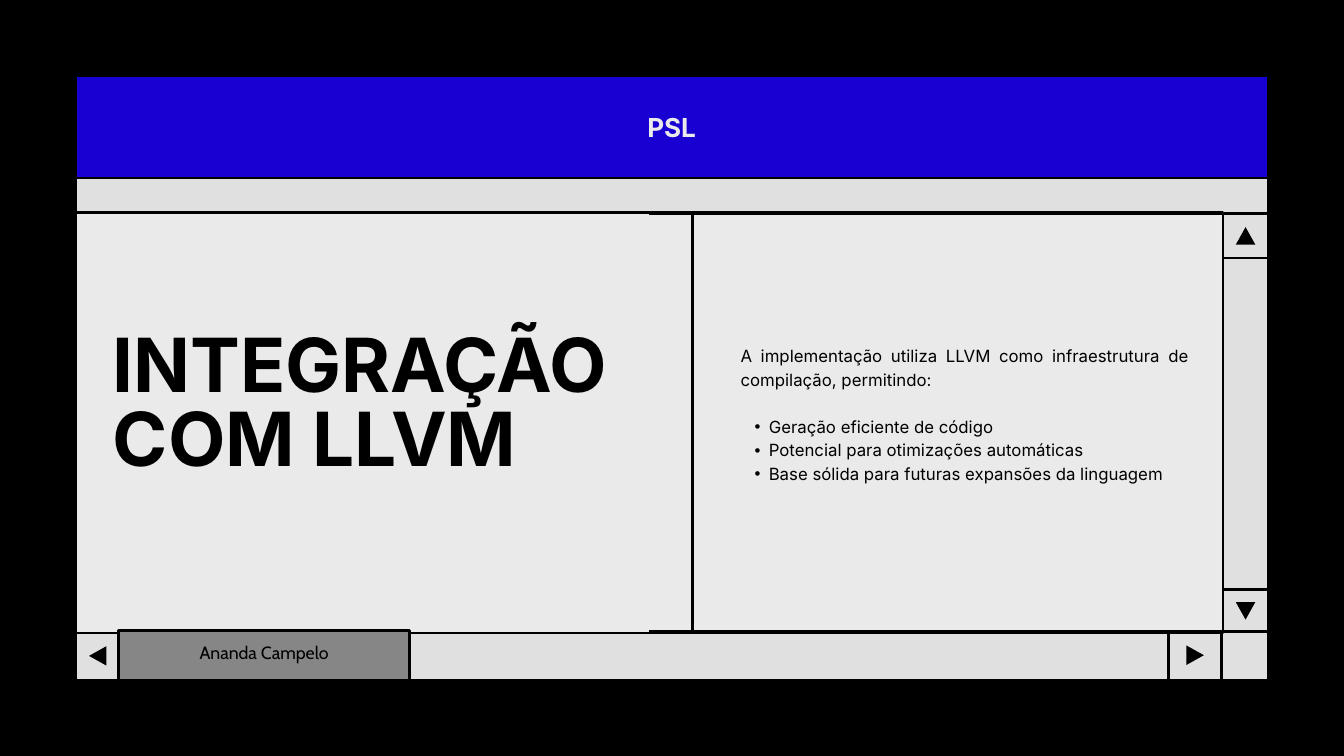
from lxml import etree
from pptx import Presentation
from pptx.dml.color import RGBColor
from pptx.enum.shapes import MSO_CONNECTOR, MSO_SHAPE
from pptx.enum.text import MSO_ANCHOR, PP_ALIGN
from pptx.oxml.ns import qn
from pptx.util import Inches, Pt

RECT, TRIANGLE = MSO_SHAPE.RECTANGLE, MSO_SHAPE.ISOSCELES_TRIANGLE
STRAIGHT = MSO_CONNECTOR.STRAIGHT
LEFT, CENTER, JUSTIFY = PP_ALIGN.LEFT, PP_ALIGN.CENTER, PP_ALIGN.JUSTIFY
TOP, MIDDLE = MSO_ANCHOR.TOP, MSO_ANCHOR.MIDDLE

COLORS = {"black": "000000", "frame": "E0E0E0", "page": "EAEAEA",
          "blue": "1700D1", "thumb": "868686"}

HEADER = "PSL"
TITLE = "INTEGRAÇÃO COM LLVM"
AUTHOR = "Ananda Campelo"
INTRO = "A implementação utiliza LLVM como infraestrutura de compilação, permitindo:"
BULLETS = [
    "Geração eficiente de código",
    "Potencial para otimizações automáticas",
    "Base sólida para futuras expansões da linguagem",
]

X0, Y0, X1, Y1 = 1.12, 1.12, 18.88, 10.12
PAGE_RIGHT, PAGE_TOP, PAGE_BOTTOM = 18.2, 3.16, 9.42
BAR_Y = 9.4

PANELS = [
    (X0, Y0, X1, Y1, "frame"),
    (X0, PAGE_TOP, PAGE_RIGHT, PAGE_BOTTOM, "page"),
    (X0, Y0, X1, 2.65, "blue"),
]
RULES = [(9.66, y, X1, y) for y in (3.18, BAR_Y)]
RULES += [(PAGE_RIGHT, y, X1, y) for y in (3.84, 8.77)]
RULES += [(x, BAR_Y, x, Y1) for x in (1.78, 17.39, 18.18)]
DIVIDER = (10.3, PAGE_TOP, 10.3, 9.38)
THUMB = (1.76, 9.38, 6.1, Y1, "thumb")
ARROWS = [(18.39, 3.38, 0), (18.39, 8.96, 180), (17.64, 9.62, 90), (1.31, 9.63, 270)]
ARROW_W, ARROW_H = 0.29, 0.26


def rgb(name):
    return RGBColor.from_string(COLORS[name])


def add_panel(s, x0, y0, x1, y1, color):
    sp = s.shapes.add_shape(RECT, Inches(x0), Inches(y0), Inches(x1 - x0), Inches(y1 - y0))
    sp.shadow.inherit = False
    sp.fill.solid()
    sp.fill.fore_color.rgb = rgb(color)
    sp.line.color.rgb = rgb("black")
    sp.line.width = Pt(3)


def add_rule(s, x0, y0, x1, y1):
    line = s.shapes.add_connector(STRAIGHT, Inches(x0), Inches(y0), Inches(x1), Inches(y1))
    line.line.color.rgb = rgb("black")
    line.line.width = Pt(3)
    etree.SubElement(line._element.spPr, qn("a:effectLst"))


def add_arrow(s, x, y, rotation):
    sp = s.shapes.add_shape(TRIANGLE, Inches(x), Inches(y), Inches(ARROW_W), Inches(ARROW_H))
    sp.shadow.inherit = False
    sp.rotation = rotation
    sp.fill.solid()
    sp.fill.fore_color.rgb = rgb("black")
    sp.line.fill.background()


def add_text(s, box, paragraphs, *, size, spacing, font="Inter", color="black",
             bold=False, align=LEFT, anchor=TOP, inset=0):
    tf = s.shapes.add_textbox(*map(Inches, box)).text_frame
    tf.word_wrap = True
    tf.vertical_anchor = anchor
    tf.margin_left = tf.margin_right = tf.margin_top = tf.margin_bottom = Inches(inset)
    for i, text in enumerate(paragraphs):
        p = tf.paragraphs[0] if i == 0 else tf.add_paragraph()
        p.alignment = align
        p.line_spacing = Pt(spacing)
        r = p.add_run()
        r.text = text
        r.font.name = font
        r.font.size = Pt(size)
        r.font.bold = bold
        r.font.color.rgb = rgb(color)
    return tf


def add_bullet(p):
    pPr = p._p.get_or_add_pPr()
    pPr.set("marL", str(Inches(0.42)))
    pPr.set("indent", str(Inches(-0.21)))
    etree.SubElement(pPr, qn("a:buFont"), typeface="Arial")
    etree.SubElement(pPr, qn("a:buChar"), char="•")


def main():
    prs = Presentation()
    prs.slide_width, prs.slide_height = Inches(20), Inches(11.25)
    s = prs.slides.add_slide(prs.slide_layouts[6])
    s.background.fill.solid()
    s.background.fill.fore_color.rgb = rgb("black")

    for panel in PANELS:
        add_panel(s, *panel)
    for rule in RULES:
        add_rule(s, *rule)
    for arrow in ARROWS:
        add_arrow(s, *arrow)
    add_panel(s, *THUMB)

    add_text(s, (1.76, 9.22, 4.34, 0.91), [AUTHOR], size=19, spacing=26.6,
             font="Cabin", align=CENTER, anchor=MIDDLE, inset=0.06)
    add_text(s, (7.28, 1.58, 5.43, 0.54), [HEADER], size=28, spacing=39.2,
             color="page", bold=True, align=CENTER)
    add_text(s, (1.68, 4.96, 9.43, 2.26), [TITLE], size=80, spacing=79.2, bold=True)
    tf = add_text(s, (11.02, 5.1, 6.67, 2.4), [INTRO, *BULLETS], size=18,
                  spacing=25.2, align=JUSTIFY)
    items = tf.paragraphs[1:]
    items[0].space_before = Pt(25.2)
    for p in items:
        add_bullet(p)

    add_rule(s, *DIVIDER)
    prs.save("out.pptx")


if __name__ == "__main__":
    main()
